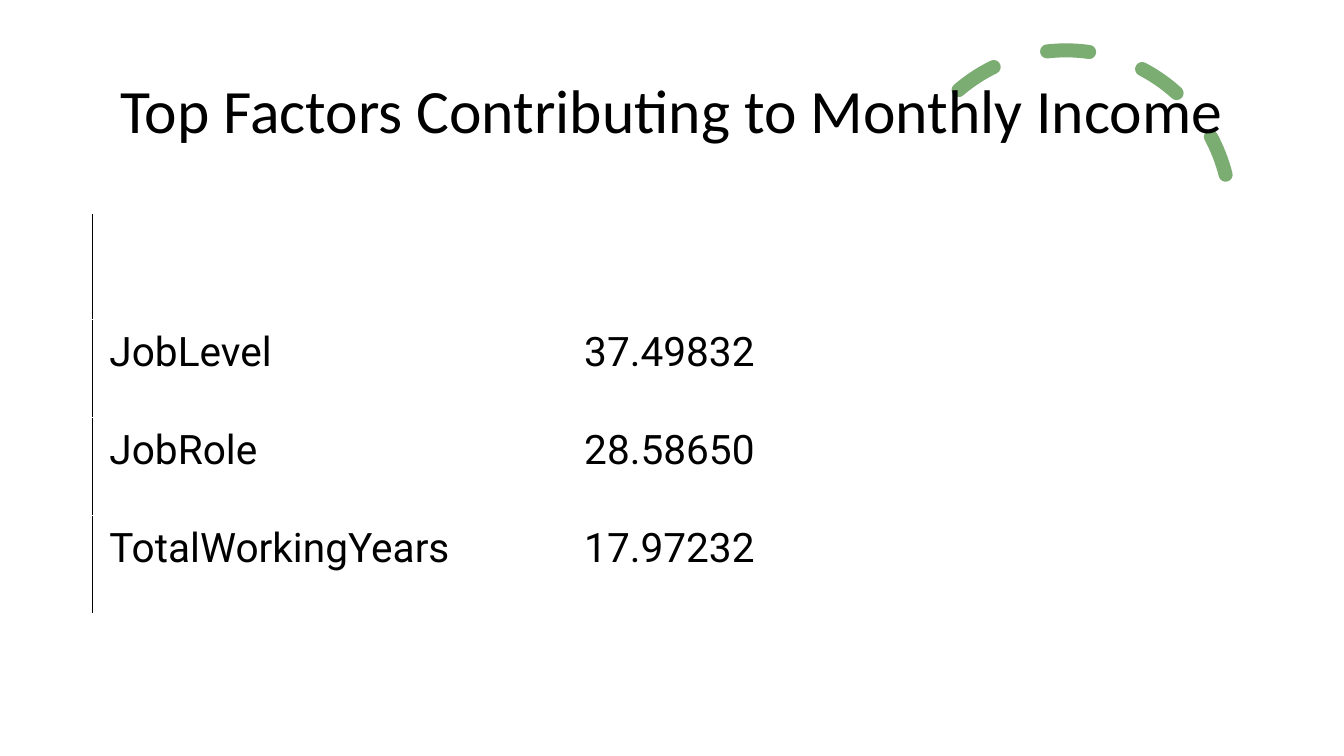
from lxml import etree
from pptx import Presentation
from pptx import util as u
from pptx.dml.color import RGBColor
from pptx.enum import dml, shapes, text
from pptx.oxml.ns import qn

COLORS = {"ink": "000000", "accent": "7BAC72"}
FACTORS = [
    ("JobLevel", "37.49832"),
    ("JobRole", "28.58650"),
    ("TotalWorkingYears", "17.97232"),
]


class SlideBuilder:
    """Hold the style and the current slide, and add its elements."""

    title_font, title_size = "Calibri", 44
    table_font, table_size = "Roboto", 29

    def __init__(self, page):
        self.page = page

    def color(self, name):
        return RGBColor.from_string(COLORS[name])

    def style_text(self, para, font, size, align):
        para.alignment = align
        for span in para.runs:
            span.font.name = font
            span.font.size = u.Pt(size)
            span.font.color.rgb = self.color("ink")

    def dashed_arc(self, left, top, size, rotation, start):
        arc = self.page.shapes.add_shape(
            shapes.MSO_SHAPE.ARC, u.Pt(left), u.Pt(top), u.Pt(size), u.Pt(size))
        arc.shadow.inherit = False
        arc.rotation = rotation
        arc.adjustments[0] = start
        arc.adjustments[1] = 0
        arc.fill.background()
        arc.line.color.rgb = self.color("accent")
        arc.line.width = u.Pt(10)
        arc.line.dash_style = dml.MSO_LINE.DASH
        arc._element.spPr.find(qn("a:ln")).set("cap", "rnd")

    def title(self, words, left, top, width, height):
        box = self.page.shapes.add_textbox(
            u.Pt(left), u.Pt(top), u.Pt(width), u.Pt(height))
        frame = box.text_frame
        frame.word_wrap = True
        frame.vertical_anchor = text.MSO_ANCHOR.MIDDLE
        frame.text = words
        para = frame.paragraphs[0]
        para.line_spacing = 0.9
        self.style_text(para, self.title_font, self.title_size, text.PP_ALIGN.CENTER)

    def left_border(self, cell):
        line = etree.SubElement(
            cell._tc.get_or_add_tcPr(), qn("a:lnL"), w=str(u.Pt(0.75)))
        fill = etree.SubElement(line, qn("a:solidFill"))
        etree.SubElement(fill, qn("a:srgbClr"), val=COLORS["ink"])

    def fill_cell(self, cell, words, align):
        cell.margin_left, cell.margin_top = u.Pt(12.24), u.Pt(3.6)
        cell.margin_right, cell.margin_bottom = u.Pt(10.8), u.Pt(25.92)
        cell.vertical_anchor = text.MSO_ANCHOR.MIDDLE
        cell.text_frame.text = words
        self.style_text(
            cell.text_frame.paragraphs[0], self.table_font, self.table_size, align)

    def table(self, rows, left, top, widths, heights):
        table = self.page.shapes.add_table(
            len(heights), len(widths), u.Pt(left), u.Pt(top),
            u.Pt(sum(widths)), u.Pt(sum(heights))).table
        table.first_row = False
        table.horz_banding = False
        for column, width in zip(table.columns, widths):
            column.width = u.Pt(width)
        for row, height in zip(table.rows, heights):
            row.height = u.Pt(height)
            self.left_border(row.cells[0])
        for cell in table.iter_cells():
            cell.fill.background()
        for index, (factor, value) in enumerate(rows, start=1):
            self.fill_cell(table.cell(index, 0), factor, text.PP_ALIGN.LEFT)
            self.fill_cell(table.cell(index, 1), value, text.PP_ALIGN.RIGHT)


def main():
    deck = Presentation()
    deck.slide_width, deck.slide_height = u.Pt(960), u.Pt(540)
    builder = SlideBuilder(deck.slides.add_slide(deck.slide_layouts[6]))
    builder.dashed_arc(643.7, 36, 235.4, 345.8, 146.13)
    builder.title("Top Factors Contributing to Monthly Income", 66, 28.8, 828, 104.4)
    builder.table(FACTORS, 66, 153.2, [285, 199] + [114.6] * 3, [75] + [70] * 3)
    deck.save("out.pptx")


if __name__ == "__main__":
    main()
